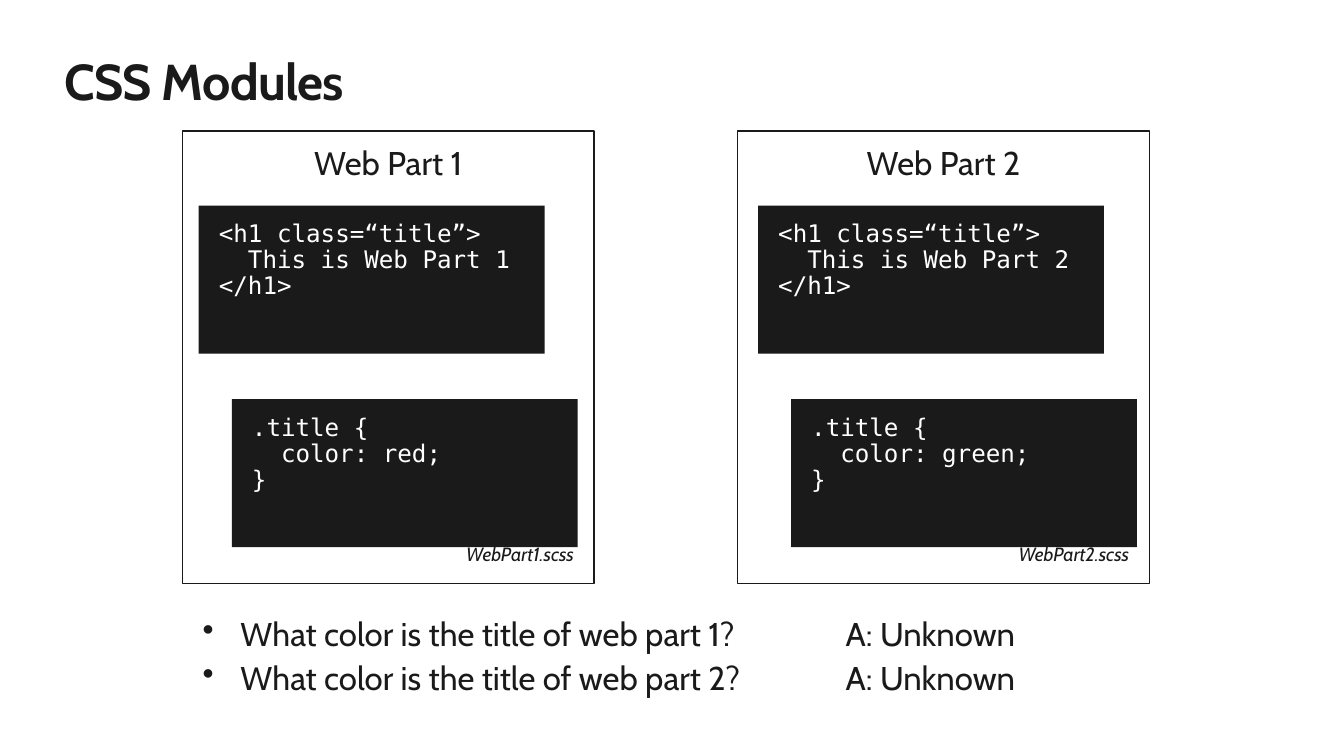
import pptx
import pptx.dml.color
import pptx.enum.shapes
import pptx.enum.text
import pptx.oxml
import pptx.oxml.ns
import pptx.util

Pt = pptx.util.Pt
ALIGN = pptx.enum.text.PP_ALIGN
FIT = pptx.enum.text.MSO_AUTO_SIZE
COLOURS = {"ink": "1A1A1A", "paper": "FFFFFF"}
BODY = {"name": "Cabin", "size": Pt(23.5)}
CODE = {"name": "DejaVu Sans Mono", "size": Pt(17.3)}
FILE_NAME = {"name": "Cabin", "size": Pt(13.7), "italic": True}


def colour(name):
    return pptx.dml.color.RGBColor.from_string(COLOURS[name])


def write(shape, lines, font, ink="ink", align=ALIGN.LEFT, after=0, bullet=False,
          wrap=True, fit=FIT.NONE):
    frame = shape.text_frame
    settings = {"margin_left": Pt(14.4), "margin_right": Pt(14.4), "margin_top": Pt(11.5),
                "margin_bottom": Pt(11.5), "word_wrap": wrap, "auto_size": fit,
                "vertical_anchor": pptx.enum.text.MSO_ANCHOR.TOP}
    for key, value in settings.items():
        setattr(frame, key, value)
    for index, line in enumerate(lines):
        para = frame.paragraphs[0] if index == 0 else frame.add_paragraph()
        para.alignment = align
        para.line_spacing = 0.9
        para.space_after = Pt(after)
        if bullet:
            properties = para._p.get_or_add_pPr()
            properties.set("marL", str(Pt(27)))
            properties.set("indent", str(-Pt(27)))
            mark = pptx.oxml.parse_xml(
                f'<a:buChar {pptx.oxml.ns.nsdecls("a")} char="•"/>')
            properties.append(mark)
        span = para.add_run()
        span.text = line
        for key, value in font.items():
            setattr(span.font, key, value)
        span.font.color.rgb = colour(ink)


def add_panel(left, top, width, height, fill):
    panel = page.shapes.add_shape(pptx.enum.shapes.MSO_SHAPE.RECTANGLE,
                                  Pt(left), Pt(top), Pt(width), Pt(height))
    panel.shadow.inherit = False
    panel.fill.solid()
    panel.fill.fore_color.rgb = colour(fill)
    panel.line.fill.background()
    return panel


deck = pptx.Presentation()
deck.slide_width = Pt(960)
deck.slide_height = Pt(540)
page = deck.slides.add_slide(deck.slide_layouts[5])

# Title
title = page.shapes.title
title.left, title.top, title.width, title.height = Pt(46), Pt(36), Pt(868), Pt(44)
write(title, ["CSS Modules"], {"name": "Cabin", "size": Pt(36), "bold": True})
for side in ("left", "right", "top", "bottom"):
    setattr(title.text_frame, f"margin_{side}", 0)
title_para = title.text_frame.paragraphs[0]
title_para.line_spacing = 1.0
title_para.runs[0].font._element.set("spc", "-50")

# One panel for each web part, with markup, style and file name
for number, left, code_left, title_colour in ((1, 130.4, 142, "red"),
                                              (2, 527, 541.5, "green")):
    frame_box = add_panel(left, 93.6, 294, 323.3, "paper")
    frame_box.line.color.rgb = colour("ink")
    frame_box.line.width = Pt(0.85)
    write(frame_box, [f"Web Part {number}"], BODY, align=ALIGN.CENTER)

    markup = ["<h1 class=“title”>", f"  This is Web Part {number}", "</h1>"]
    style = [".title {", f"  color: {title_colour};", "}"]
    for shift, top, lines in ((0, 146.9, markup), (23.6, 285.1, style)):
        write(add_panel(code_left + shift, top, 247, 105.8, "ink"), lines, CODE, ink="paper")

    label = page.shapes.add_textbox(Pt(left + 132), Pt(381.6), Pt(162), Pt(37.4))
    write(label, [f"WebPart{number}.scss"], FILE_NAME, align=ALIGN.RIGHT, after=5.9,
          fit=FIT.SHAPE_TO_FIT_TEXT)

# Questions and answers
questions = [f"What color is the title of web part {number}?" for number in (1, 2)]
for left, width, lines, bullet in ((130.4, 437, questions, True),
                                   (589.7, 155.5, ["A: Unknown"] * 2, False)):
    box = page.shapes.add_textbox(Pt(left), Pt(429.8), Pt(width), Pt(80))
    write(box, lines, BODY, after=5.9, bullet=bullet, wrap=False,
          fit=FIT.SHAPE_TO_FIT_TEXT)

deck.save("out.pptx")
